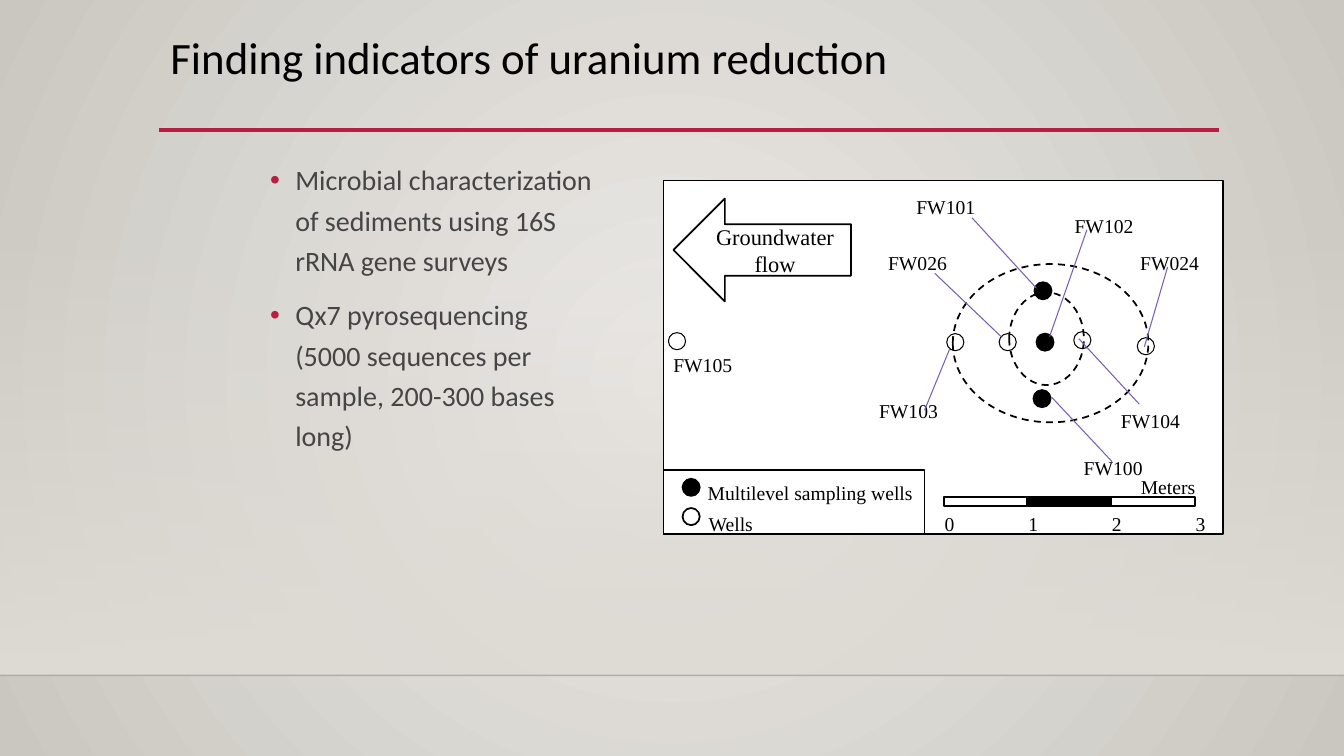
"""Build the slide about indicators of uranium reduction with its well map."""
from lxml.etree import SubElement
from pptx import Presentation
from pptx.dml.color import RGBColor
from pptx.enum.dml import MSO_LINE
from pptx.enum.shapes import MSO_CONNECTOR, MSO_SHAPE
from pptx.enum.text import MSO_ANCHOR, MSO_AUTO_SIZE, PP_ALIGN
from pptx.oxml.ns import qn
from pptx.util import Inches, Pt

COLORS = {
    "black": "000000", "white": "FFFFFF", "accent": "B71E42", "body": "454545",
    "leader": "795FAF", "center": "ECEAE7", "edge": "CAC7C1", "floor": "DFDBD5",
}
SERIF = "Times New Roman"
WELL_SIZE = 0.17
SCALE_LEFT, SCALE_STEP = 9.36, 0.83

OPEN_WELLS = [(11.28, 3.35), (9.91, 3.31), (9.39, 3.31), (10.65, 3.29), (6.63, 3.3)]
SAMPLING_WELLS = [(10.26, 2.8), (10.28, 3.31), (10.25, 3.87)]
WELL_LABELS = [
    ("FW104", 11.02, 4.01, 1.2, 0.43), ("FW105", 6.58, 3.45, 1.2, 0.43),
    ("FW103", 8.62, 3.91, 0.87, 0.73), ("FW101", 8.99, 1.88, 1.2, 0.43),
    ("FW100", 10.65, 4.47, 1.2, 0.43), ("FW102", 10.56, 2.07, 1.2, 0.43),
    ("FW024", 11.21, 2.44, 0.83, 0.73), ("FW026", 8.71, 2.44, 1.2, 0.43),
]
LEADERS = [
    (9.17, 4.07, 9.42, 3.46), (9.27, 2.71, 9.93, 3.34), (9.64, 2.16, 10.28, 2.86),
    (10.78, 2.28, 10.41, 3.34), (10.7, 3.36, 11.3, 4.01), (11.58, 2.65, 11.35, 3.44),
    (10.43, 3.94, 11.03, 4.58),
]
FINDINGS = [
    "Microbial characterization of sediments using 16S rRNA gene surveys",
    "Qx7 pyrosequencing (5000 sequences per sample, 200-300 bases long)",
]


def rgb(name):
    """Return the named colour."""
    return RGBColor.from_string(COLORS[name])


def style_paragraph(paragraph, size, font=SERIF, color="black", align=PP_ALIGN.LEFT):
    """Align a paragraph and format its runs."""
    paragraph.alignment = align
    for run in paragraph.runs:
        run.font.size = Pt(size)
        run.font.name = font
        run.font.color.rgb = rgb(color)


def set_alpha(element, percent):
    """Make the first colour inside an element partly transparent."""
    color = next(element.iter(qn("a:srgbClr")))
    SubElement(color, qn("a:alpha")).set("val", str(percent * 1000))


def set_gradient(fill, start, end):
    """Give a fill a two-colour gradient."""
    fill.gradient()
    for stop, name in zip(fill.gradient_stops, (start, end)):
        stop.color.rgb = rgb(name)


def add_outline(slide, kind, left, top, width, height, fill=None, line=1.25):
    """Add a black-outlined shape, optionally filled."""
    shape = slide.shapes.add_shape(
        kind, Inches(left), Inches(top), Inches(width), Inches(height))
    shape.shadow.inherit = False
    if fill:
        shape.fill.solid()
        shape.fill.fore_color.rgb = rgb(fill)
    else:
        shape.fill.background()
    shape.line.color.rgb = rgb("black")
    shape.line.width = Pt(line)
    return shape


def add_well(slide, left, top, fill=None, line=1.25):
    """Add a round well marker."""
    add_outline(slide, MSO_SHAPE.OVAL, left, top, WELL_SIZE, WELL_SIZE, fill, line)


def add_line(slide, x1, y1, x2, y2, color, width):
    """Add a straight line without a shadow."""
    line = slide.shapes.add_connector(
        MSO_CONNECTOR.STRAIGHT, Inches(x1), Inches(y1), Inches(x2), Inches(y2))
    line.line.color.rgb = rgb(color)
    line.line.width = Pt(width)
    SubElement(line.element.spPr, qn("a:effectLst"))
    return line


def add_label(slide, text, left, top, width, height, align=PP_ALIGN.LEFT):
    """Add a map label."""
    label = slide.shapes.add_textbox(
        Inches(left), Inches(top), Inches(width), Inches(height))
    frame = label.text_frame
    frame.word_wrap = True
    frame.auto_size = MSO_AUTO_SIZE.SHAPE_TO_FIT_TEXT
    frame.text = text
    style_paragraph(frame.paragraphs[0], 14, align=align)


def add_backdrop(slide):
    """Draw the radial background, the floor band and the rules."""
    fill = slide.background.fill
    set_gradient(fill, "center", "edge")
    gradient = next(slide.element.iter(qn("a:gradFill")))
    gradient.remove(gradient.find(qn("a:lin")))
    radial = SubElement(gradient, qn("a:path"))
    radial.set("path", "circle")
    focus = SubElement(radial, qn("a:fillToRect"))
    for side in "ltrb":
        focus.set(side, "50000")

    band = add_outline(slide, MSO_SHAPE.RECTANGLE, 0, 2.21, 13.33, 4.49)
    band.line.fill.background()
    set_gradient(band.fill, "floor", "floor")
    band.fill.gradient_angle = 270
    set_alpha(band.element, 0)
    horizon = add_line(slide, 0, 6.7, 13.33, 6.7, "black", 1)
    set_alpha(horizon.element, 20)
    add_line(slide, 1.58, 1.29, 12.09, 1.29, "accent", 2.5)


def add_title(slide, text):
    """Place and format the title."""
    title = slide.shapes.title
    title.left, title.top = Inches(1.59), Inches(0.3)
    title.width, title.height = Inches(10.5), Inches(0.96)
    frame = title.text_frame
    frame.text = text
    frame.vertical_anchor = MSO_ANCHOR.TOP
    frame.paragraphs[0].line_spacing = 0.9
    style_paragraph(frame.paragraphs[0], 32, "Calibri")


def add_findings(slide):
    """Add the bulleted findings."""
    findings = slide.shapes.add_textbox(
        Inches(2.58), Inches(1.5), Inches(3.42), Inches(4.83))
    frame = findings.text_frame
    frame.word_wrap = True
    frame.text = "\n".join(FINDINGS)
    for paragraph in frame.paragraphs:
        style_paragraph(paragraph, 20, "Calibri", "body")
        paragraph.line_spacing = 1.2
        paragraph.space_before = Pt(10)
        properties = paragraph._p.get_or_add_pPr()
        properties.set("marL", str(Inches(0.25)))
        properties.set("indent", str(Inches(-0.25)))
        bullet_color = SubElement(properties, qn("a:buClr"))
        SubElement(bullet_color, qn("a:srgbClr")).set("val", COLORS["accent"])
        SubElement(properties, qn("a:buFont")).set("typeface", "Arial")
        SubElement(properties, qn("a:buChar")).set("char", "•")


def add_well_map(slide):
    """Draw the map frame, wells, labels, leaders and flow arrow."""
    add_outline(slide, MSO_SHAPE.RECTANGLE, 6.58, 1.79, 5.55, 3.51, "white")
    for left, top in OPEN_WELLS:
        add_well(slide, left, top, line=0)
    for left, top in SAMPLING_WELLS:
        add_well(slide, left, top, "black")
    for label in WELL_LABELS:
        add_label(slide, *label)
    for ring in ((10.01, 2.9, 0.74, 0.92), (9.45, 2.62, 1.94, 1.57)):
        add_outline(slide, MSO_SHAPE.OVAL, *ring).line.dash_style = MSO_LINE.DASH
    for leader in LEADERS:
        add_line(slide, *leader, "leader", 0.75)
    flow = add_outline(slide, MSO_SHAPE.LEFT_ARROW, 6.68, 1.97, 1.76, 1.02)
    flow.text_frame.word_wrap = True
    flow.text_frame.vertical_anchor = MSO_ANCHOR.MIDDLE
    flow.text_frame.text = "Groundwater flow"
    style_paragraph(flow.text_frame.paragraphs[0], 16, align=PP_ALIGN.CENTER)


def add_scale(slide):
    """Draw the scale bar in meters."""
    for index, fill in enumerate(("white", "black", "white")):
        add_outline(slide, MSO_SHAPE.RECTANGLE, SCALE_LEFT + index * SCALE_STEP,
                    4.93, SCALE_STEP, 0.09, fill)
    for meters in range(4):
        add_label(slide, str(meters), SCALE_LEFT - 0.09 + meters * SCALE_STEP,
                  5.03, 0.28, 0.43, PP_ALIGN.CENTER)
    add_label(slide, "Meters", 11.12, 4.66, 0.93, 0.73, PP_ALIGN.CENTER)


def add_legend(slide):
    """Draw the legend of well types."""
    add_outline(slide, MSO_SHAPE.RECTANGLE, 6.58, 4.66, 2.59, 0.64)
    add_well(slide, 6.77, 4.75, "black")
    add_label(slide, "Multilevel sampling wells", 6.92, 4.72, 2.68, 0.73)
    add_well(slide, 6.77, 5.04, "white")
    add_label(slide, "Wells", 6.93, 5.03, 0.82, 0.43)


def main():
    """Build and save the slide."""
    deck = Presentation()
    deck.slide_width, deck.slide_height = Inches(13.33), Inches(7.5)
    slide = deck.slides.add_slide(deck.slide_layouts[5])
    add_backdrop(slide)
    add_title(slide, "Finding indicators of uranium reduction")
    add_findings(slide)
    add_well_map(slide)
    add_scale(slide)
    add_legend(slide)
    deck.save("out.pptx")


if __name__ == "__main__":
    main()
